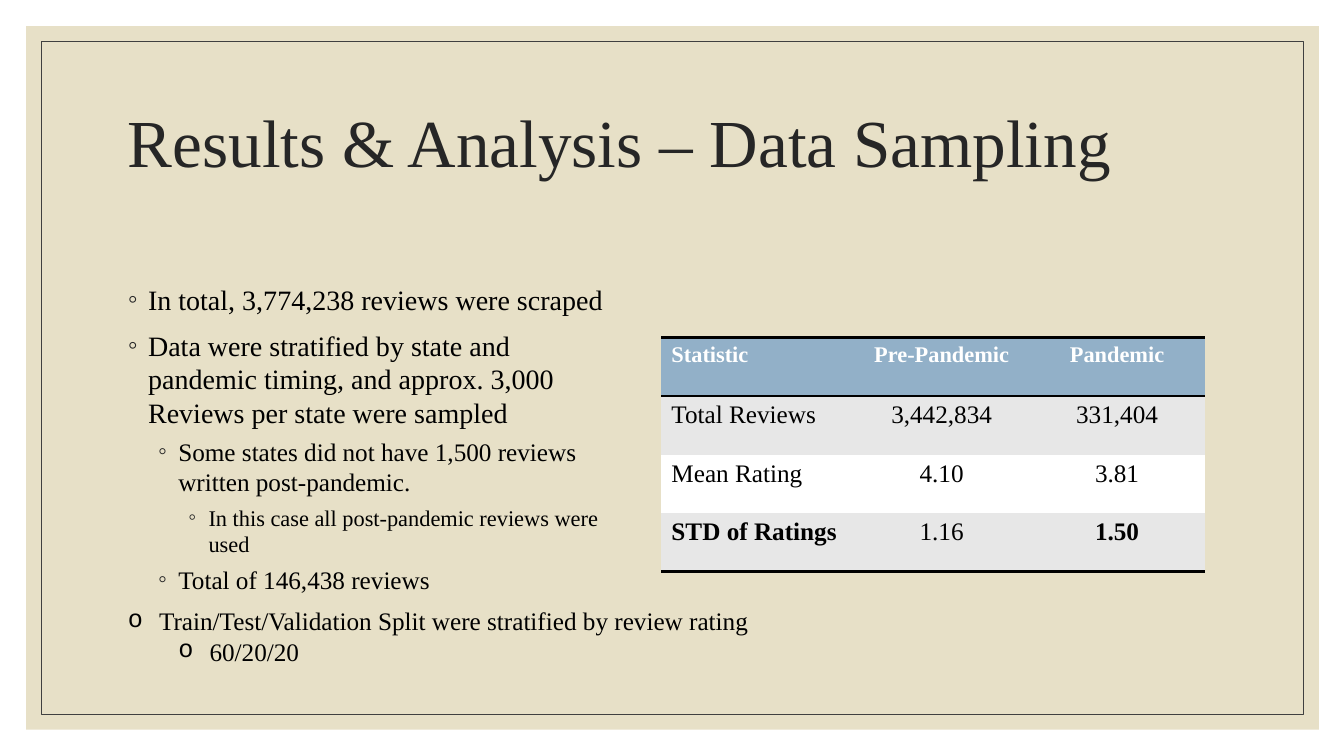
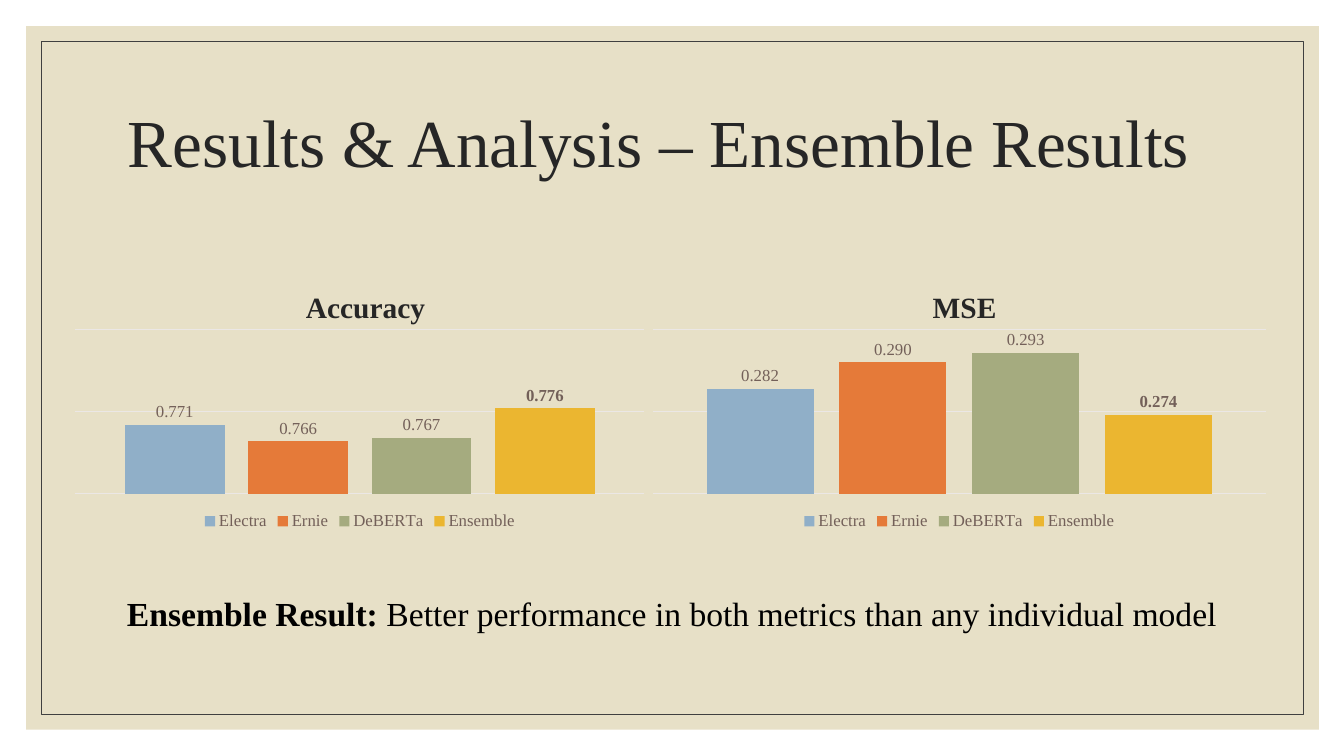
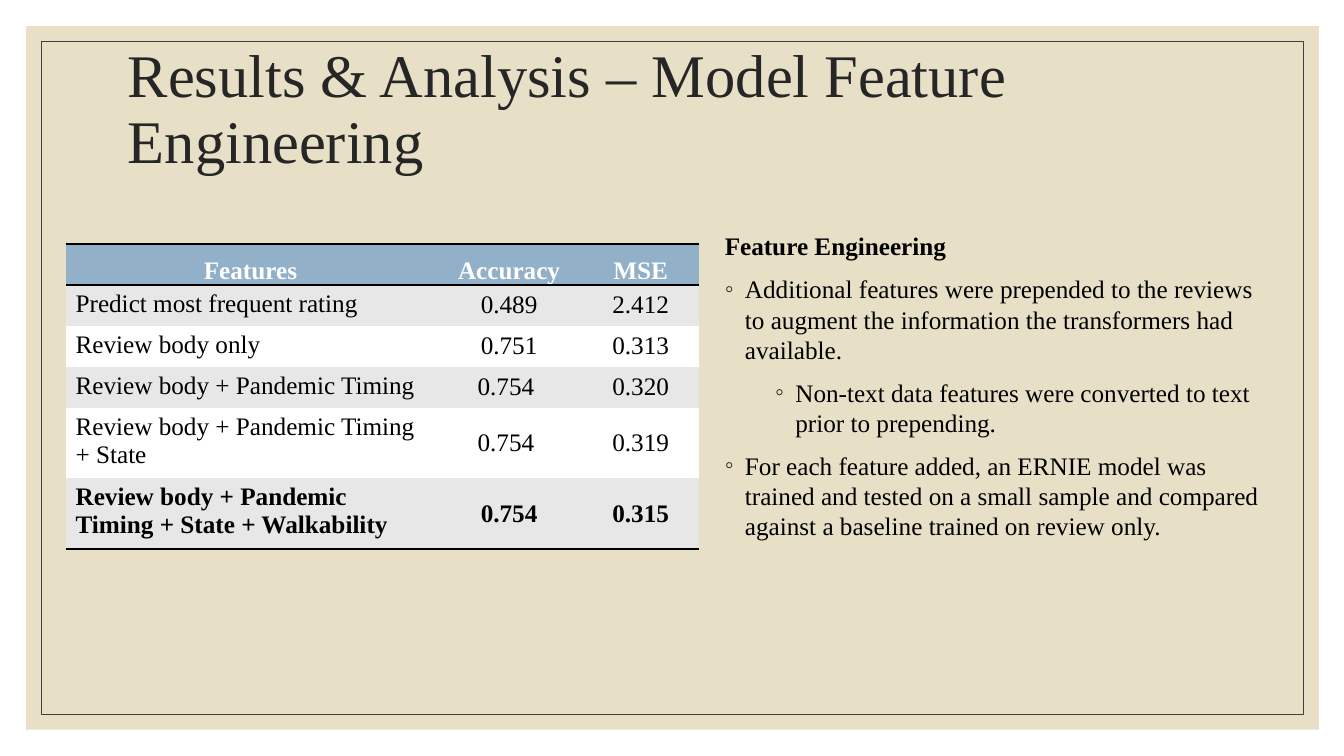
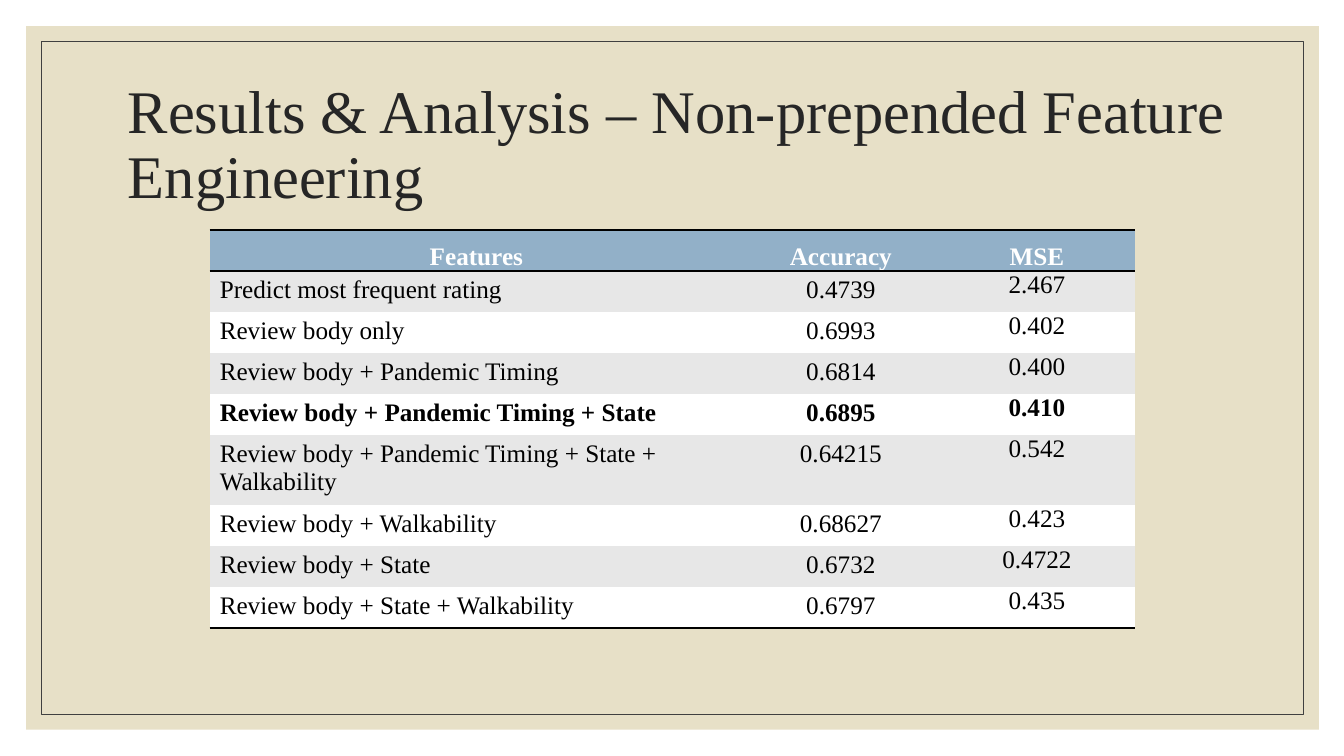
from lxml import etree
from pptx import Presentation
from pptx import util as u
from pptx.chart import data as chart_data
from pptx.dml.color import RGBColor
from pptx.enum import chart as chart_enum, shapes, text
from pptx.oxml import parse_xml
from pptx.oxml.ns import nsdecls, qn

FONT = "Times New Roman"
COLORS = {
    "sand": "E7E0C7", "frame": "404040", "title": "262626", "text": "000000",
    "white": "FFFFFF", "header": "92B0C8", "band": "E7E7E7",
    "label": "736059", "grid": "EBE7E5",
    "Electra": "90AFC8", "Ernie": "E57A39", "DeBERTa": "A5AB7F", "Ensemble": "EBB630",
}
NO_GRID_STYLE = "{2D5ABB26-0587-4C30-8999-92F81FD0307C}"
CENTER = text.PP_ALIGN.CENTER
TOP, MIDDLE, BOTTOM = (
    text.MSO_ANCHOR.TOP, text.MSO_ANCHOR.MIDDLE, text.MSO_ANCHOR.BOTTOM)


def color(name):
    return RGBColor.from_string(COLORS[name])


def inches(box):
    return [u.Inches(length) for length in box]


def set_format(target, **values):
    for name, value in values.items():
        setattr(target, name, value)


def set_font(font, size, color_name="text", bold=False):
    set_format(font, name=FONT, size=u.Pt(size), bold=bold)
    font.color.rgb = color(color_name)


# Text
def add_text_box(slide, box, anchor=TOP):
    frame = slide.shapes.add_textbox(*inches(box)).text_frame
    set_format(frame, word_wrap=True, vertical_anchor=anchor)
    return frame


def add_run(paragraph, words, size, color_name="text", bold=False):
    run = paragraph.add_run()
    run.text = words
    set_font(run.font, size, color_name, bold)


def set_bullet(paragraph, symbol, left, hang, bullet_font, bullet_color):
    properties = paragraph._p.get_or_add_pPr()
    properties.set("marL", str(u.Inches(left)))
    properties.set("indent", str(-u.Inches(hang)))
    bullet_rgb = etree.SubElement(properties, qn("a:buClr"))
    etree.SubElement(bullet_rgb, qn("a:srgbClr"), val=COLORS[bullet_color])
    etree.SubElement(properties, qn("a:buFont"), typeface=bullet_font)
    etree.SubElement(properties, qn("a:buChar"), char=symbol)


def add_list(slide, box, items, symbol="◦", hang=0.2, bullet_font=FONT,
             bullet_color="title"):
    """Items are (text, size, left indent, space before); indent None is a heading."""
    frame = add_text_box(slide, box)
    for index, (words, size, left, space) in enumerate(items):
        paragraph = frame.add_paragraph() if index else frame.paragraphs[0]
        paragraph.space_before = u.Pt(space)
        if left is not None:
            set_bullet(paragraph, symbol, left, hang, bullet_font, bullet_color)
        add_run(paragraph, words, size, bold=left is None)


# Shared background, frame and title
def add_base_slide(presentation, title, size, box):
    slide = presentation.slides.add_slide(presentation.slide_layouts[6])
    for area in ((0.26, 0.26, 12.82, 6.98), (0.41, 0.41, 12.52, 6.68)):
        panel = slide.shapes.add_shape(shapes.MSO_SHAPE.RECTANGLE, *inches(area))
        panel.shadow.inherit = False
        if area[0] < 0.4:
            panel.fill.solid()
            panel.fill.fore_color.rgb = color("sand")
            panel.line.fill.background()
        else:
            panel.fill.background()
            panel.line.color.rgb = color("frame")
            panel.line.width = u.Pt(0.5)
    paragraph = add_text_box(slide, box, MIDDLE).paragraphs[0]
    paragraph.line_spacing = 0.9
    add_run(paragraph, title, size, "title")
    return slide


# Tables
def add_border(cell, side):
    properties = cell._tc.get_or_add_tcPr()
    line = parse_xml(
        f'<a:{side} {nsdecls("a")} w="{u.Pt(2)}"><a:solidFill>'
        f'<a:srgbClr val="{COLORS["text"]}"/></a:solidFill></a:{side}>')
    fill = properties.find(qn("a:solidFill"))
    fill.addprevious(line)


def add_table(slide, box, columns, rows, bold_cells, body_size=18, header_size=18,
              tight=True, number_anchor=TOP):
    """Tight tables have a low centred header and no margins in the last column."""
    shape = slide.shapes.add_table(len(rows), len(columns), *inches(box))
    table = shape.table
    table._tbl.tblPr.find(qn("a:tableStyleId")).text = NO_GRID_STYLE
    for column, width in zip(table.columns, columns):
        column.width = u.Inches(width)
    for row_index, values in enumerate(rows):
        table.rows[row_index].height = u.Inches(box[3] / len(rows))
        header = row_index == 0
        fill = "header" if header else ("white", "band")[row_index % 2]
        for column_index, value in enumerate(values):
            cell = table.cell(row_index, column_index)
            cell.fill.solid()
            cell.fill.fore_color.rgb = color(fill)
            if header:
                add_border(cell, "lnT")
            if header or row_index == len(rows) - 1:
                add_border(cell, "lnB")
            paragraph = cell.text_frame.paragraphs[0]
            if column_index or (header and tight):
                paragraph.alignment = CENTER
            if column_index and not header:
                cell.vertical_anchor = number_anchor
            if tight and (header or column_index == len(columns) - 1):
                side = u.Inches(0.01 if header else 0)
                set_format(cell, margin_left=side, margin_right=side,
                           margin_top=side, margin_bottom=0)
            if tight and header:
                cell.vertical_anchor = BOTTOM
            add_run(paragraph, value, header_size if header else body_size,
                    "white" if header else "text",
                    header or (row_index, column_index) in bold_cells)


# Charts
def set_layout(element, index, **values):
    """Place a chart part by fractions of the chart's size."""
    old = element.find(qn("c:layout"))
    if old is not None:
        element.remove(old)
    layout = etree.Element(qn("c:layout"))
    manual = etree.SubElement(layout, qn("c:manualLayout"))
    for name, value in values.items():
        etree.SubElement(manual, qn(f"c:{name}"), val=str(value))
    element.insert(index, layout)


def add_metric_chart(slide, box, title, title_left, scores, low, high):
    data = chart_data.CategoryChartData(number_format="#,##0.000")
    data.categories = ["1"]
    for model, score in scores.items():
        data.add_series(model, [score])
    chart = slide.shapes.add_chart(
        chart_enum.XL_CHART_TYPE.COLUMN_CLUSTERED, *inches(box), data).chart
    set_font(chart.font, 10)

    # Title and legend
    add_run(chart.chart_title.text_frame.paragraphs[0], title, 21, "title", True)
    set_layout(chart.chart_title._element, 1, xMode="edge", yMode="edge",
               x=title_left, y=0.07)
    chart.has_legend = True
    set_format(chart.legend, position=chart_enum.XL_LEGEND_POSITION.BOTTOM,
               include_in_layout=False)
    set_font(chart.legend.font, 12, "label")

    # Axes
    chart.category_axis.visible = False
    set_format(chart.value_axis, visible=False, minimum_scale=low,
               maximum_scale=high, major_unit=0.025)
    grid = chart.value_axis.major_gridlines.format.line
    grid.color.rgb = color("grid")
    grid.width = u.Pt(0.75)

    # Columns
    plot = chart.plots[0]
    set_format(plot, gap_width=100, overlap=-24, vary_by_categories=False)
    set_layout(chart._chartSpace.chart.plotArea, 0, layoutTarget="inner",
               xMode="edge", yMode="edge", x=0.02, y=0.24, w=0.96, h=0.61)
    for series in plot.series:
        series.format.fill.solid()
        series.format.fill.fore_color.rgb = color(series.name)
        labels = series.data_labels
        set_format(labels, show_value=True, number_format="#,##0.000",
                   number_format_is_linked=False,
                   position=chart_enum.XL_LABEL_POSITION.OUTSIDE_END)
        set_font(labels.font, 12, "label", series.name == "Ensemble")


# Slides
def add_sampling_slide(presentation):
    slide = add_base_slide(presentation, "Results & Analysis – Data Sampling",
                           48, (1.17, 0.7, 11, 1.5))
    add_list(slide, (1.17, 2.75, 4.99, 3.37), [
        ("In total, 3,774,238 reviews were scraped", 20, 0.2, 9),
        ("Data were stratified by state and pandemic timing, and approx. 3,000 "
         "Reviews per state were sampled", 20, 0.2, 9),
        ("Some states did not have 1,500 reviews written post-pandemic.", 18, 0.5, 5),
        ("In this case all post-pandemic reviews were used", 16, 0.8, 5),
        ("Total of 146,438 reviews", 18, 0.5, 5),
    ])
    add_table(slide, (6.56, 3.35, 5.39, 2.32), (1.91, 1.74, 1.74), [
        ("Statistic", "Pre-Pandemic", "Pandemic"),
        ("Total Reviews", "3,442,834", "331,404"),
        ("Mean Rating", "4.10", "3.81"),
        ("STD of Ratings", "1.16", "1.50"),
    ], {(3, 0), (3, 2)}, header_size=16, tight=False)
    add_list(slide, (1.17, 5.96, 6.67, 0.71), [
        ("Train/Test/Validation Split were stratified by review rating", 18, 0.31, 0),
        ("60/20/20", 18, 0.81, 0),
    ], "o", 0.31, "Courier New", "text")


def add_ensemble_slide(presentation):
    slide = add_base_slide(presentation, "Results & Analysis – Ensemble Results",
                           48, (1.17, 0.7, 11, 1.5))
    add_metric_chart(
        slide, (0.63, 2.63, 5.88, 2.67), "Accuracy", 0.4,
        {"Electra": 0.771, "Ernie": 0.766, "DeBERTa": 0.767, "Ensemble": 0.776},
        0.75, 0.8)
    add_metric_chart(
        slide, (6.35, 2.63, 6.33, 2.67), "MSE", 0.45,
        {"Electra": 0.282, "Ernie": 0.29, "DeBERTa": 0.293, "Ensemble": 0.274},
        0.25, 0.3)
    paragraph = add_text_box(slide, (0.32, 5.83, 12.69, 0.5)).paragraphs[0]
    paragraph.alignment = CENTER
    add_run(paragraph, "Ensemble Result: ", 24, bold=True)
    add_run(paragraph, "Better performance in both metrics than any individual model", 24)


def add_feature_slide(presentation):
    slide = add_base_slide(
        presentation, "Results & Analysis – Model Feature Engineering",
        43.2, (1.17, 0.35, 11.53, 1.5))
    add_table(slide, (0.65, 2.42, 6.28, 2.44), (3.67, 1.46, 1.15), [
        ("Features", "Accuracy", "MSE"),
        ("Predict most frequent rating", "0.489", "2.412"),
        ("Review body only", "0.751", "0.313"),
        ("Review body + Pandemic Timing", "0.754 ", "0.320"),
        ("Review body + Pandemic Timing + State", "0.754 ", "0.319"),
        ("Review body + Pandemic Timing + State + Walkability", "0.754", "0.315"),
    ], {(5, column) for column in range(3)}, number_anchor=MIDDLE)
    add_list(slide, (7.09, 2.24, 5.6, 3.21), [
        ("Feature Engineering", 18, None, 9),
        ("Additional features were prepended to the reviews to augment the "
         "information the transformers had available.", 18, 0.2, 9),
        ("Non-text data features were converted to text prior to prepending.",
         18, 0.7, 9),
        ("For each feature added, an ERNIE model was trained and tested on a small "
         "sample and compared against a baseline trained on review only.", 18, 0.2, 9),
    ])


def add_non_prepended_slide(presentation):
    slide = add_base_slide(
        presentation, "Results & Analysis – Non-prepended Feature Engineering",
        43.2, (1.17, 0.7, 11.53, 1.5))
    add_table(slide, (2.08, 2.28, 9.18, 3.66), (5.29, 1.94, 1.95), [
        ("Features", "Accuracy", "MSE"),
        ("Predict most frequent rating", "0.4739", "2.467"),
        ("Review body only", "0.6993", "0.402"),
        ("Review body + Pandemic Timing", "0.6814", "0.400"),
        ("Review body + Pandemic Timing + State", "0.6895", "0.410"),
        ("Review body + Pandemic Timing + State + Walkability", "0.64215", "0.542"),
        ("Review body + Walkability", "0.68627", "0.423"),
        ("Review body + State", "0.6732", "0.4722"),
        ("Review body + State + Walkability", "0.6797", "0.435"),
    ], {(4, column) for column in range(3)})


def main():
    presentation = Presentation()
    set_format(presentation, slide_width=u.Inches(13.33), slide_height=u.Inches(7.5))
    for add_slide in (add_sampling_slide, add_ensemble_slide,
                      add_feature_slide, add_non_prepended_slide):
        add_slide(presentation)
    presentation.save("out.pptx")


if __name__ == "__main__":
    main()
